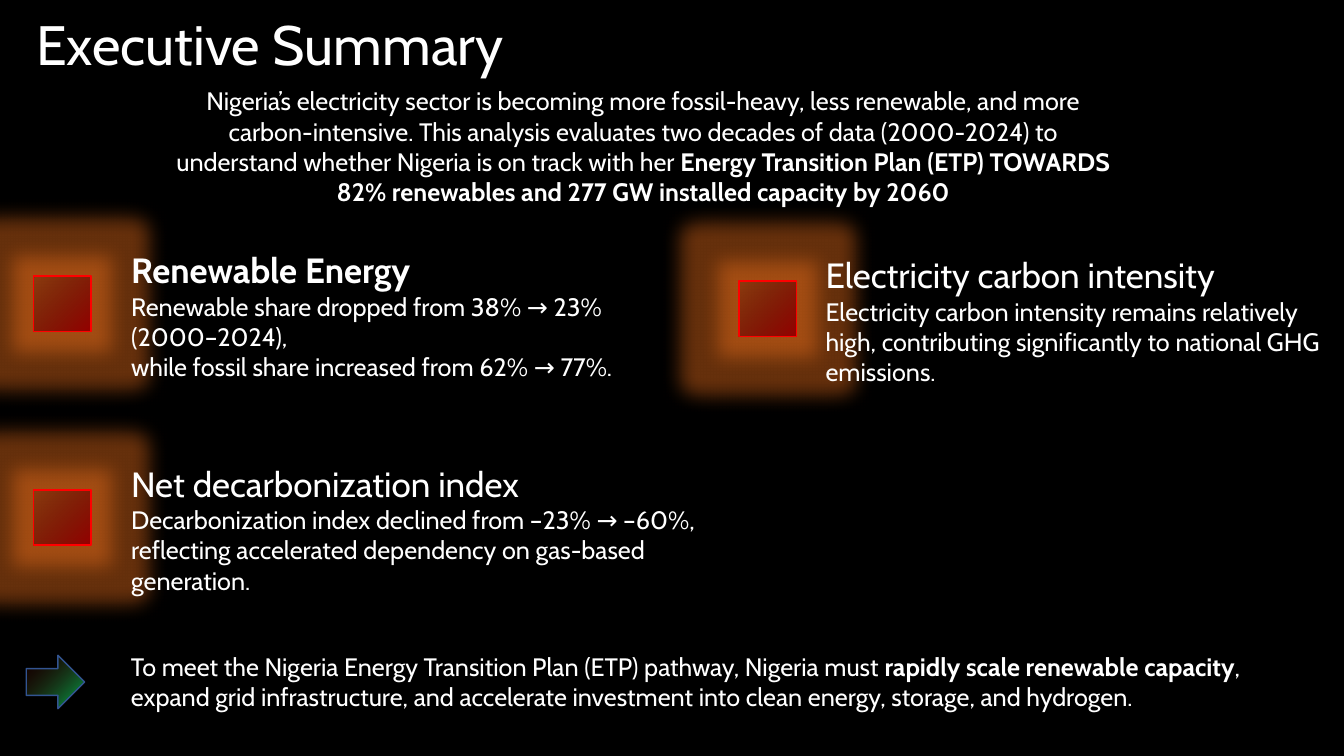
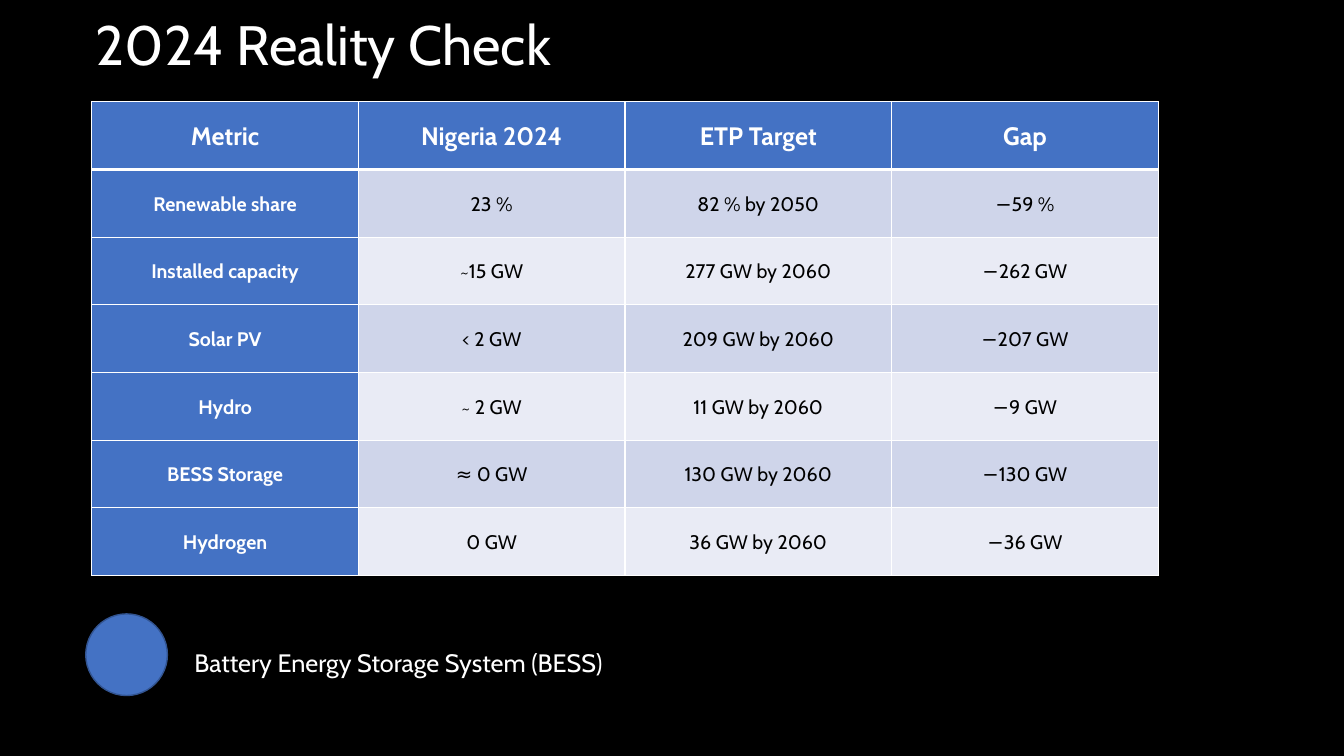
from dataclasses import dataclass

from pptx import Presentation
from pptx.dml.color import RGBColor
from pptx.enum.shapes import MSO_SHAPE
from pptx.enum.text import MSO_ANCHOR, PP_ALIGN
from pptx.oxml import parse_xml
from pptx.oxml.ns import nsdecls, qn
from pptx.util import Inches, Pt

RECTANGLE = MSO_SHAPE.RECTANGLE
RIGHT_ARROW = MSO_SHAPE.RIGHT_ARROW
CONNECTOR_CIRCLE = MSO_SHAPE.FLOWCHART_CONNECTOR
TOP, MIDDLE = MSO_ANCHOR.TOP, MSO_ANCHOR.MIDDLE
LEFT, CENTER = PP_ALIGN.LEFT, PP_ALIGN.CENTER

BLACK = RGBColor(0x00, 0x00, 0x00)
WHITE = RGBColor(0xFF, 0xFF, 0xFF)
BLUE = RGBColor(0x44, 0x72, 0xC4)
DARK_BLUE = RGBColor(0x32, 0x54, 0x91)
BAND_DARK = RGBColor(0xCF, 0xD5, 0xEA)
BAND_LIGHT = RGBColor(0xE9, 0xEB, 0xF5)
RED = RGBColor(0xFF, 0x00, 0x00)
DEEP_RED = RGBColor(0x97, 0x00, 0x00)
MAROON = RGBColor(0x47, 0x00, 0x00)
GREEN = RGBColor(0x00, 0xB0, 0x50)
ORANGE = RGBColor(0xFF, 0x78, 0x1E)

FONT = "Cabin"
TITLE_SIZE, HEADING_SIZE, BODY_SIZE, CELL_SIZE = 39.6, 25, 18, 14
RED_STOPS = [(0, DEEP_RED, 100), (97, MAROON, 23), (100, RED, 100)]
GREEN_STOPS = [(0, GREEN, 100), (96, MAROON, 23)]

FINDINGS = [
    ((2.48, 32.27, 51.08, 23.07), "Renewable Energy", True,
     ["Renewable share dropped from 38% → 23%", "(2000–2024),",
      "while fossil share increased from 62% → 77%."]),
    ((54.98, 32.93, 44.55, 23.07), "Electricity carbon intensity", False,
     ["Electricity carbon intensity remains relatively high, contributing "
      "significantly to national GHG emissions."]),
    ((2.48, 60.53, 51.08, 23.07), "Net decarbonization index", False,
     ["Decarbonization index declined from –23% → –60%, reflecting "
      "accelerated dependency on gas-based generation."]),
]
METRICS = [
    ("Metric", "Nigeria 2024", "ETP Target", "Gap"),
    ("Renewable share", "23 %", "82 % by 2050", "−59 %"),
    ("Installed capacity", "~15 GW", "277 GW by 2060", "−262 GW"),
    ("Solar PV", "< 2 GW", "209 GW by 2060", "−207 GW"),
    ("Hydro", "~ 2 GW", "11 GW by 2060", "−9 GW"),
    ("BESS Storage", "≈ 0 GW", "130 GW by 2060", "−130 GW"),
    ("Hydrogen", "0 GW", "36 GW by 2060", "−36 GW"),
]


@dataclass
class Box:
    """A rectangle that is divided into 100 columns and 100 rows."""

    left: int
    top: int
    width: int
    height: int

    def area(self, left, top, width, height):
        """Return the inner box given in columns and rows."""
        return Box(int(self.left + self.width * left / 100),
                   int(self.top + self.height * top / 100),
                   int(self.width * width / 100),
                   int(self.height * height / 100))

    def bounds(self):
        """Return left, top, width and height."""
        return self.left, self.top, self.width, self.height


PAGE = Box(0, 0, Inches(13.33), Inches(7.5))
MARKER = PAGE.area(0, 0, 4.28, 7.33)


def add_frame(slide, box, anchor=TOP):
    """Add a wrapping text box and return its text frame."""
    frame = slide.shapes.add_textbox(*box.bounds()).text_frame
    frame.word_wrap = True
    frame.vertical_anchor = anchor
    return frame


def write_text(frame, text, *, size=BODY_SIZE, bold=False, colour=WHITE,
               align=LEFT, spacing=1.0, join=False):
    """Write a formatted paragraph, or join a run to the last one."""
    paragraph = frame.paragraphs[-1]
    if paragraph.runs and not join:
        paragraph = frame.add_paragraph()
    paragraph.alignment = align
    paragraph.line_spacing = spacing
    run = paragraph.add_run()
    run.text = text
    run.font.name = FONT
    run.font.size = Pt(size)
    run.font.bold = bold
    run.font.color.rgb = colour


def add_outlined_shape(slide, kind, box, line_colour):
    """Add a preset shape with a thin outline and no shadow."""
    shape = slide.shapes.add_shape(kind, *box.bounds())
    shape.shadow.inherit = False
    shape.line.color.rgb = line_colour
    shape.line.width = Pt(1)
    return shape


def set_gradient(shape, stops):
    """Fill a shape from its lower right to its upper left corner."""
    stop_xml = "".join(
        f'<a:gs pos="{position * 1000}"><a:srgbClr val="{colour}">'
        f'<a:alpha val="{opacity * 1000}"/></a:srgbClr></a:gs>'
        for position, colour, opacity in stops)
    gradient = parse_xml(
        f'<a:gradFill {nsdecls("a")} rotWithShape="1"><a:gsLst>{stop_xml}'
        '</a:gsLst><a:lin ang="13500000" scaled="1"/></a:gradFill>')
    properties = shape._element.spPr
    properties.find(qn("a:prstGeom")).addnext(gradient)


def add_glow(shape, radius):
    """Surround a shape with an orange glow."""
    effects = shape._element.spPr.find(qn("a:effectLst"))
    effects.append(parse_xml(
        f'<a:glow {nsdecls("a")} rad="{int(radius)}"><a:srgbClr val="{ORANGE}">'
        '<a:alpha val="40000"/></a:srgbClr></a:glow>'))


def add_title(slide, box, text):
    """Add the slide title."""
    frame = add_frame(slide, box, MIDDLE)
    write_text(frame, text, size=TITLE_SIZE, spacing=0.9)


def add_introduction(slide, box):
    """Add the centred opening statement."""
    frame = add_frame(slide, box)
    write_text(frame, "Nigeria’s electricity sector is becoming more fossil-heavy, "
               "less renewable, and more carbon-intensive. This analysis evaluates "
               "two decades of data (2000-2024) to understand whether Nigeria is on "
               "track with her ", align=CENTER)
    write_text(frame, "Energy Transition Plan (ETP) TOWARDS 82% renewables and "
               "277 GW installed capacity by 2060", bold=True, align=CENTER, join=True)


def add_finding(slide, box, heading, bold, lines):
    """Add a glowing marker beside a heading and its explanation."""
    corner = box.area(0, 18.5, 0, 0)
    marker_box = Box(corner.left, corner.top, MARKER.width, MARKER.height)
    marker = add_outlined_shape(slide, RECTANGLE, marker_box, RED)
    set_gradient(marker, RED_STOPS)
    add_glow(marker, Pt(28))
    frame = add_frame(slide, box.area(12.8, 0, 87.2, 100))
    write_text(frame, heading, size=HEADING_SIZE, bold=bold)
    for line in lines:
        write_text(frame, line)


def add_recommendation(slide, box):
    """Add the closing arrow and the recommended action."""
    arrow_box = box.area(0, 12.7, 4.55, 74.65)
    arrow = add_outlined_shape(slide, RIGHT_ARROW, arrow_box, DARK_BLUE)
    set_gradient(arrow, GREEN_STOPS)
    frame = add_frame(slide, box.area(7.37, 0, 92.63, 100))
    write_text(frame, "To meet the Nigeria Energy Transition Plan (ETP) pathway, "
               "Nigeria must ")
    write_text(frame, "rapidly scale renewable capacity", bold=True, join=True)
    write_text(frame, ", expand grid infrastructure, and accelerate investment into "
               "clean energy, storage, and hydrogen.", join=True)


def set_borders(cell, top, bottom):
    """Draw white borders around a cell, with widths in points."""
    properties = cell._tc.get_or_add_tcPr()
    widths = {"lnL": 1, "lnR": 1, "lnT": top, "lnB": bottom}
    for index, (side, width) in enumerate(widths.items()):
        properties.insert(index, parse_xml(
            f'<a:{side} {nsdecls("a")} w="{Pt(width)}"><a:solidFill>'
            f'<a:srgbClr val="{WHITE}"/></a:solidFill></a:{side}>'))


def add_metric_table(slide, box):
    """Add the table of current values, targets and gaps."""
    shape = slide.shapes.add_table(len(METRICS), len(METRICS[0]), *box.bounds())
    for row, values in enumerate(METRICS):
        for column, value in enumerate(values):
            cell = shape.table.cell(row, column)
            is_label = row == 0 or column == 0
            band = BAND_DARK if row % 2 else BAND_LIGHT
            cell.fill.solid()
            cell.fill.fore_color.rgb = BLUE if is_label else band
            cell.vertical_anchor = MIDDLE
            cell.margin_left = cell.margin_right = Inches(0.01)
            cell.margin_top = cell.margin_bottom = Inches(0.01)
            set_borders(cell, 3 if row == 1 else 1, 3 if row == 0 else 1)
            write_text(cell.text_frame, value, bold=is_label, align=CENTER,
                       size=BODY_SIZE if row == 0 else CELL_SIZE,
                       colour=WHITE if is_label else BLACK, spacing=1.07)


def add_abbreviation(slide, box):
    """Add a blue circle beside the meaning of the abbreviation."""
    circle_box = box.area(0, 0, 15.14, 100)
    circle = add_outlined_shape(slide, CONNECTOR_CIRCLE, circle_box, DARK_BLUE)
    circle.fill.solid()
    circle.fill.fore_color.rgb = BLUE
    frame = add_frame(slide, box.area(18.32, 34.57, 81.68, 49.38))
    write_text(frame, "Battery Energy Storage System (BESS)")


def build_summary(slide):
    """Build the executive summary."""
    add_title(slide, PAGE.area(1.95, 3.07, 90.6, 6.53), "Executive Summary")
    add_introduction(slide, PAGE.area(12.08, 10.67, 71.55, 18))
    for area, heading, bold, lines in FINDINGS:
        add_finding(slide, PAGE.area(*area), heading, bold, lines)
    add_recommendation(slide, PAGE.area(1.95, 85.47, 95.63, 9.47))


def build_reality_check(slide):
    """Build the comparison of 2024 values with the targets."""
    add_title(slide, PAGE.area(6.38, 3.07, 86.25, 6.53), "2024 Reality Check")
    add_metric_table(slide, PAGE.area(6.83, 13.47, 79.35, 62.67))
    add_abbreviation(slide, PAGE.area(6.38, 81.2, 40.13, 10.8))


def main():
    """Create the presentation and save it."""
    presentation = Presentation()
    presentation.slide_width = PAGE.width
    presentation.slide_height = PAGE.height
    background = presentation.slide_master.background.fill
    background.solid()
    background.fore_color.rgb = BLACK
    blank_layout = presentation.slide_layouts[6]
    for build in (build_summary, build_reality_check):
        build(presentation.slides.add_slide(blank_layout))
    presentation.save("out.pptx")


if __name__ == "__main__":
    main()
